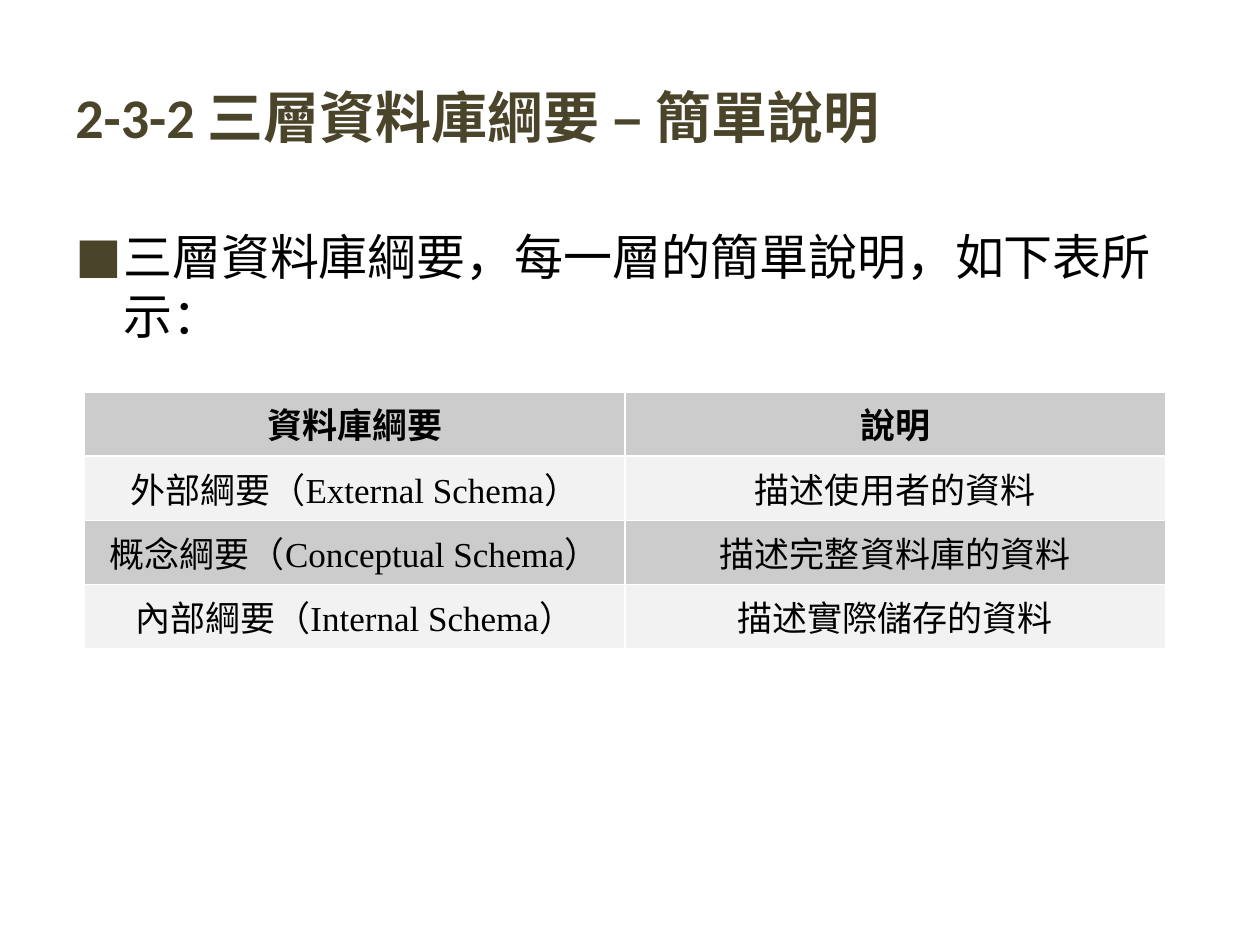
from lxml import etree
from pptx import Presentation
from pptx.dml.color import RGBColor
from pptx.enum.text import MSO_ANCHOR, PP_ALIGN
from pptx.oxml.ns import qn
from pptx.util import Inches, Pt

CENTER = PP_ALIGN.CENTER
MIDDLE = MSO_ANCHOR.MIDDLE
TOP = MSO_ANCHOR.TOP
COLORS = {"olive": "4A452A", "black": "000000", "white": "FFFFFF",
          "dark_band": "CCCCCC", "light_band": "F2F2F2"}
ROWS = [
    ("資料庫綱要", "說明"),
    ("外部綱要（External Schema）", "描述使用者的資料"),
    ("概念綱要（Conceptual Schema）", "描述完整資料庫的資料"),
    ("內部綱要（Internal Schema）", "描述實際儲存的資料"),
]


def write_text(tf, text, size, font="Calibri", color="black", bold=False,
               align=None, bullet=None):
    """Write one formatted paragraph into a text frame."""
    p = tf.paragraphs[0]
    if bullet:
        add_bullet(p, bullet)
    p.alignment = align
    r = p.add_run()
    r.text = text
    r.font.size = Pt(size)
    r.font.name = font
    r.font.bold = bold
    r.font.color.rgb = RGBColor.from_string(COLORS[color])


def add_bullet(p, char):
    """Give a paragraph a hanging olive bullet."""
    pPr = p._p.get_or_add_pPr()
    pPr.set("marL", str(Inches(0.38)))
    pPr.set("indent", str(-Inches(0.38)))
    clr = etree.SubElement(pPr, qn("a:buClr"))
    etree.SubElement(clr, qn("a:srgbClr"), val=COLORS["olive"])
    etree.SubElement(pPr, qn("a:buFont"), typeface="Calibri")
    etree.SubElement(pPr, qn("a:buChar"), char=char)


def add_text_box(slide, left, top, width, height, text, anchor=TOP, **fmt):
    """Add a wrapping text box with one formatted paragraph."""
    sp = slide.shapes.add_textbox(Inches(left), Inches(top),
                                  Inches(width), Inches(height))
    tf = sp.text_frame
    tf.word_wrap = True
    tf.vertical_anchor = anchor
    write_text(tf, text, **fmt)


def add_borders(cell):
    """Draw thin white lines around a table cell."""
    tcPr = cell._tc.get_or_add_tcPr()
    for i, side in enumerate(("lnL", "lnR", "lnT", "lnB")):
        ln = etree.Element(qn(f"a:{side}"), w=str(Pt(0.96)))
        fill = etree.SubElement(ln, qn("a:solidFill"))
        etree.SubElement(fill, qn("a:srgbClr"), val=COLORS["white"])
        tcPr.insert(i, ln)


def add_schema_table(slide, left, top, width, row_height):
    """Add the banded table of schema levels."""
    cols = len(ROWS[0])
    table = slide.shapes.add_table(
        len(ROWS), cols, Inches(left), Inches(top), Inches(width),
        Inches(row_height * len(ROWS))).table
    for i, row in enumerate(ROWS):
        band = "light_band" if i % 2 else "dark_band"
        for j, text in enumerate(row):
            cell = table.cell(i, j)
            cell.fill.solid()
            cell.fill.fore_color.rgb = RGBColor.from_string(COLORS[band])
            add_borders(cell)
            write_text(cell.text_frame, text, size=20, font="Times New Roman",
                       bold=i == 0, align=CENTER)


def main():
    """Build the schema slide and save it."""
    prs = Presentation()
    prs.slide_width, prs.slide_height = Inches(10), Inches(7.5)
    slide = prs.slides.add_slide(prs.slide_layouts[6])
    add_text_box(slide, 0.5, 0.3, 9, 1.25, "2-3-2 三層資料庫綱要 – 簡單說明",
                 anchor=MIDDLE, size=32, color="olive", bold=True)
    add_text_box(slide, 0.5, 1.75, 9, 4.95,
                 "三層資料庫綱要，每一層的簡單說明，如下表所示：",
                 size=28, bullet="■")
    add_schema_table(slide, 0.67, 3.11, 8.58, 0.51)
    prs.save("out.pptx")


if __name__ == "__main__":
    main()
